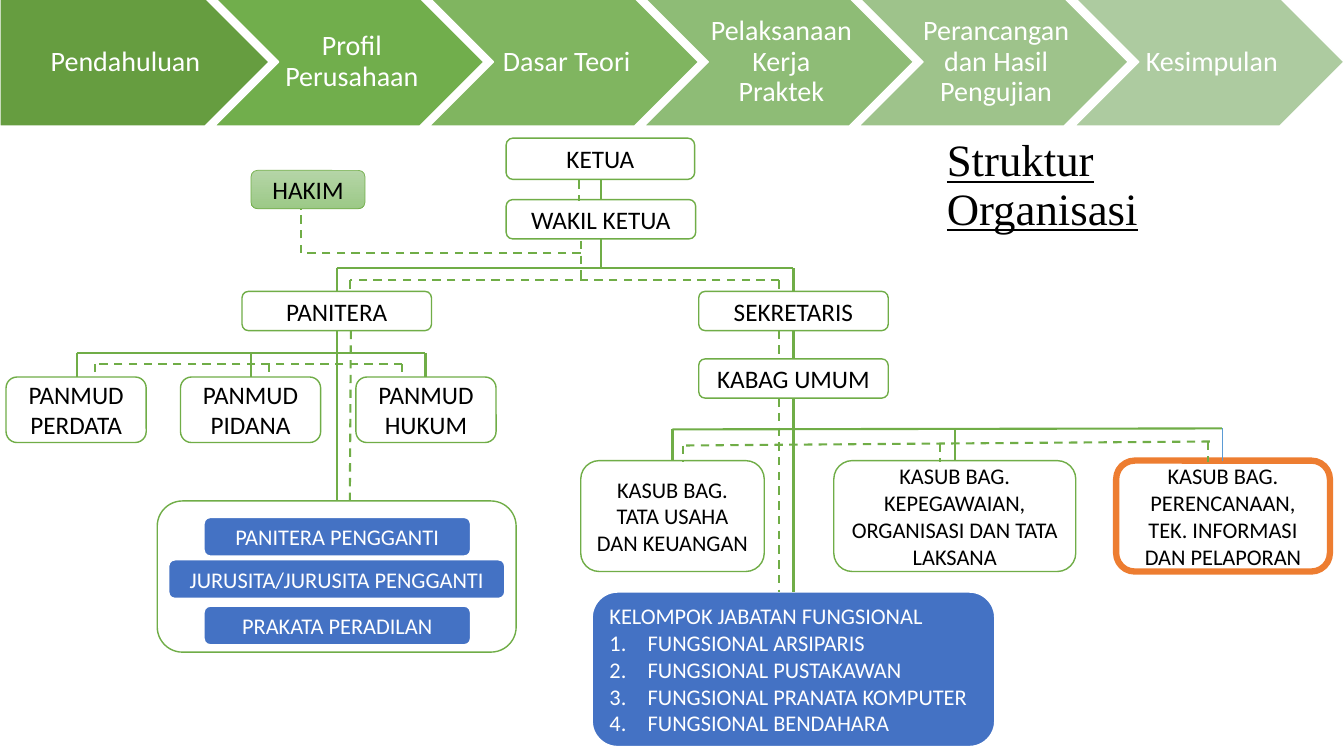
from dataclasses import dataclass

from lxml.etree import SubElement
from pptx import Presentation
from pptx.dml.color import RGBColor
from pptx.enum.dml import MSO_LINE
from pptx.enum.shapes import MSO_CONNECTOR, MSO_SHAPE
from pptx.enum.text import MSO_ANCHOR, MSO_AUTO_SIZE, PP_ALIGN
from pptx.oxml.ns import qn
from pptx.util import Pt

SCALE = 9144


@dataclass(frozen=True)
class Theme:
    sans: str = "Calibri"
    serif: str = "Times New Roman"
    head: int = 32
    step: int = 20
    large: int = 18
    small: int = 16
    white: str = "FFFFFF"
    black: str = "000000"
    green: str = "70AD47"
    blue: str = "4472C4"
    sky: str = "5B9BD5"
    orange: str = "ED7D31"
    steps: tuple = ("669D40", "71AE4C", "80B560", "8EBC76", "9EC38B", "ADCBA0")
    fade: tuple = ("B5D5A7", "9CC987")


THEME = Theme()

STEPS = ("Pendahuluan", "Profil Perusahaan", "Dasar Teori",
         "Pelaksanaan Kerja Praktek", "Perancangan dan Hasil Pengujian",
         "Kesimpulan")

POSTS = (
    ("KETUA", (502, 137, 187, 41)),
    ("WAKIL KETUA", (502, 198, 188, 39)),
    ("PANITERA", (240, 289, 188, 39)),
    ("SEKRETARIS", (693, 289, 188, 39)),
    ("KABAG UMUM", (693, 356, 188, 39)),
    ("PANMUD PERDATA", (6, 374, 139, 65)),
    ("PANMUD PIDANA", (179, 374, 139, 65)),
    ("PANMUD HUKUM", (353, 374, 139, 65)),
)

PLAN = (1107, 457, 212, 110)

UNITS = (
    ("KASUB BAG. TATA USAHA DAN KEUANGAN", (576, 457, 182, 110)),
    ("KASUB BAG. KEPEGAWAIAN, ORGANISASI DAN TATA LAKSANA",
     (827, 457, 240, 110)),
    ("KASUB BAG. PERENCANAAN, TEK. INFORMASI DAN PELAPORAN", PLAN),
)

CLERKS = (
    ("PANITERA PENGGANTI", (202, 513, 265, 39)),
    ("JURUSITA/JURUSITA PENGGANTI", (167, 555, 334, 39)),
    ("PRAKATA PERADILAN", (202, 601, 265, 39)),
)

GROUP = ("KELOMPOK JABATAN FUNGSIONAL", "FUNGSIONAL ARSIPARIS",
         "FUNGSIONAL PUSTAKAWAN", "FUNGSIONAL PRANATA KOMPUTER",
         "FUNGSIONAL BENDAHARA")

SOLID = ((596, 178, 596, 198), (596, 237, 596, 266), (334, 328, 334, 497),
         (787, 328, 787, 356), (787, 395, 787, 587))

DASHED = ((576, 251, 299, 251), (299, 251, 299, 207), (576, 239, 576, 278),
          (574, 179, 574, 199), (348, 328, 347, 497), (773, 328, 773, 356),
          (773, 395, 773, 587))


def px(*sizes):
    return [size * SCALE for size in sizes]


def tint(code):
    return RGBColor.from_string(code)


def style(para, size, color, face=THEME.sans, align=PP_ALIGN.CENTER):
    para.alignment = align
    for run in para.runs:
        run.font.name = face
        run.font.size = Pt(size)
        run.font.color.rgb = tint(color)


def paint(shape, fill, line, width):
    if fill:
        shape.fill.solid()
        shape.fill.fore_color.rgb = tint(fill)
    else:
        shape.fill.background()
    shape.line.color.rgb = tint(line)
    shape.line.width = Pt(width)


def panel(shapes, kind, rect, fill, line, width=1):
    shape = shapes.add_shape(kind, *px(*rect))
    shape.shadow.inherit = False
    paint(shape, fill, line, width)
    return shape


def box(shapes, text, rect, size, fill=THEME.white, line=THEME.green,
        width=1, ink=THEME.black):
    shape = panel(shapes, MSO_SHAPE.ROUNDED_RECTANGLE, rect, fill, line, width)
    frame = shape.text_frame
    frame.word_wrap = True
    frame.vertical_anchor = MSO_ANCHOR.MIDDLE
    frame.text = text
    style(frame.paragraphs[0], size, ink)
    return shape


def wire(shapes, ends, color=THEME.green, width=1.5, dash=False):
    link = shapes.add_connector(MSO_CONNECTOR.STRAIGHT, *px(*ends))
    link.line.color.rgb = tint(color)
    link.line.width = Pt(width)
    if dash:
        link.line.dash_style = MSO_LINE.DASH
    SubElement(link._element.spPr, qn("a:effectLst"))


def tree(shapes, bar, drops, foot, dash=False):
    left, start, right, end = bar
    wire(shapes, bar, dash=dash)
    for x in drops:
        y = start + round((end - start) * (x - left) / (right - left))
        wire(shapes, (x, y, x, foot), dash=dash)


def step(slide, index, text):
    shapes = slide.shapes.add_group_shape().shapes
    left = index * 1066 // 5
    kind = MSO_SHAPE.CHEVRON if index else MSO_SHAPE.PENTAGON
    panel(shapes, kind, (left, -2, 267, 127), THEME.steps[index], THEME.white)
    area = (left + 53, -2, 160, 127) if index else (left, -2, 240, 127)
    frame = shapes.add_textbox(*px(*area)).text_frame
    frame.word_wrap = True
    frame.vertical_anchor = MSO_ANCHOR.MIDDLE
    frame.margin_left, frame.margin_right = px(9 if index else 12, 3)
    frame.margin_top, frame.margin_bottom = px(6, 6)
    frame.text = text
    para = frame.paragraphs[0]
    para.line_spacing = 0.9
    style(para, THEME.step, THEME.white)


def place(shape, rect, anchor):
    shape.left, shape.top, shape.width, shape.height = px(*rect)
    frame = shape.text_frame
    frame.word_wrap = True
    frame.auto_size = MSO_AUTO_SIZE.NONE
    frame.vertical_anchor = anchor
    return frame


def title(shape, text):
    frame = place(shape, (929, 132, 365, 56), MSO_ANCHOR.TOP)
    frame.text = text
    para = frame.paragraphs[0]
    para.line_spacing = 0.9
    style(para, THEME.head, THEME.black, THEME.serif, PP_ALIGN.LEFT)
    para.runs[0].font.underline = True


def roster(shape, lines):
    frame = place(shape, (587, 587, 400, 154), MSO_ANCHOR.MIDDLE)
    form = SubElement(shape._element.spPr, qn("a:prstGeom"), prst="roundRect")
    SubElement(form, qn("a:avLst"))
    paint(shape, THEME.blue, THEME.white, 1.5)
    frame.text = "\n".join(lines)
    for index, para in enumerate(frame.paragraphs):
        style(para, THEME.small, THEME.white, align=PP_ALIGN.LEFT)
        para.space_before = Pt(0)
        props = para._p.get_or_add_pPr()
        inset = px(38)[0] if index else 0
        props.set("marL", str(inset))
        props.set("indent", str(-inset))
        if index:
            SubElement(props, qn("a:buAutoNum"), type="arabicPeriod")
        else:
            SubElement(props, qn("a:buNone"))


def judge(shapes):
    shape = box(shapes, "HAKIM", (249, 169, 113, 38), THEME.large, width=0.5)
    shape.fill.gradient()
    shape.fill.gradient_angle = 270
    for stop, code in zip(shape.fill.gradient_stops, THEME.fade):
        stop.color.rgb = tint(code)


def main():
    deck = Presentation()
    deck.slide_width, deck.slide_height = px(1333, 750)
    slide = deck.slides.add_slide(deck.slide_layouts[1])
    shapes = slide.shapes
    title(shapes.title, "Struktur Organisasi")
    roster(slide.placeholders[1], GROUP)
    for index, text in enumerate(STEPS):
        step(slide, index, text)
    for text, rect in POSTS:
        box(shapes, text, rect, THEME.large)
    for text, rect in UNITS:
        box(shapes, text, rect, THEME.small)
    round_box = MSO_SHAPE.ROUNDED_RECTANGLE
    panel(shapes, round_box, PLAN, None, THEME.orange, 4.5)
    panel(shapes, round_box, (156, 497, 356, 150), THEME.white, THEME.green)
    for text, rect in CLERKS:
        box(shapes, text, rect, THEME.small, THEME.blue, THEME.white, 1.5,
            THEME.white)
    judge(shapes)
    for ends in SOLID:
        wire(shapes, ends)
    for ends in DASHED:
        wire(shapes, ends, dash=True)
    tree(shapes, (334, 266, 787, 266), (334, 787), 289)
    tree(shapes, (76, 350, 422, 350), (76, 249, 422), 374)
    tree(shapes, (667, 426, 1212, 425), (667, 947), 457)
    wire(shapes, (1212, 425, 1212, 457), THEME.sky, 0.5)
    tree(shapes, (773, 278, 347, 278), (347, 773), 288, True)
    tree(shapes, (399, 361, 94, 361), (94, 267, 399), 374, True)
    tree(shapes, (1200, 438, 677, 442), (677, 932, 1198), 458, True)
    deck.save("out.pptx")


if __name__ == "__main__":
    main()
